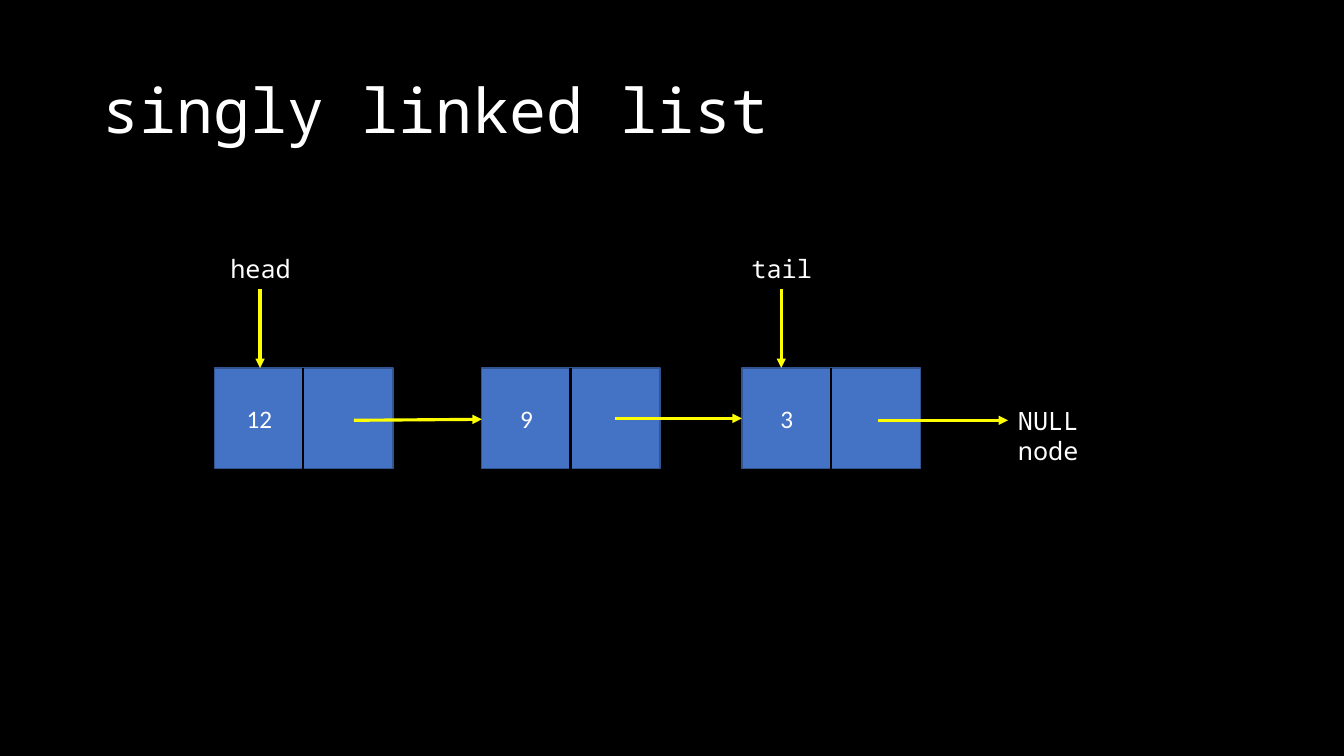
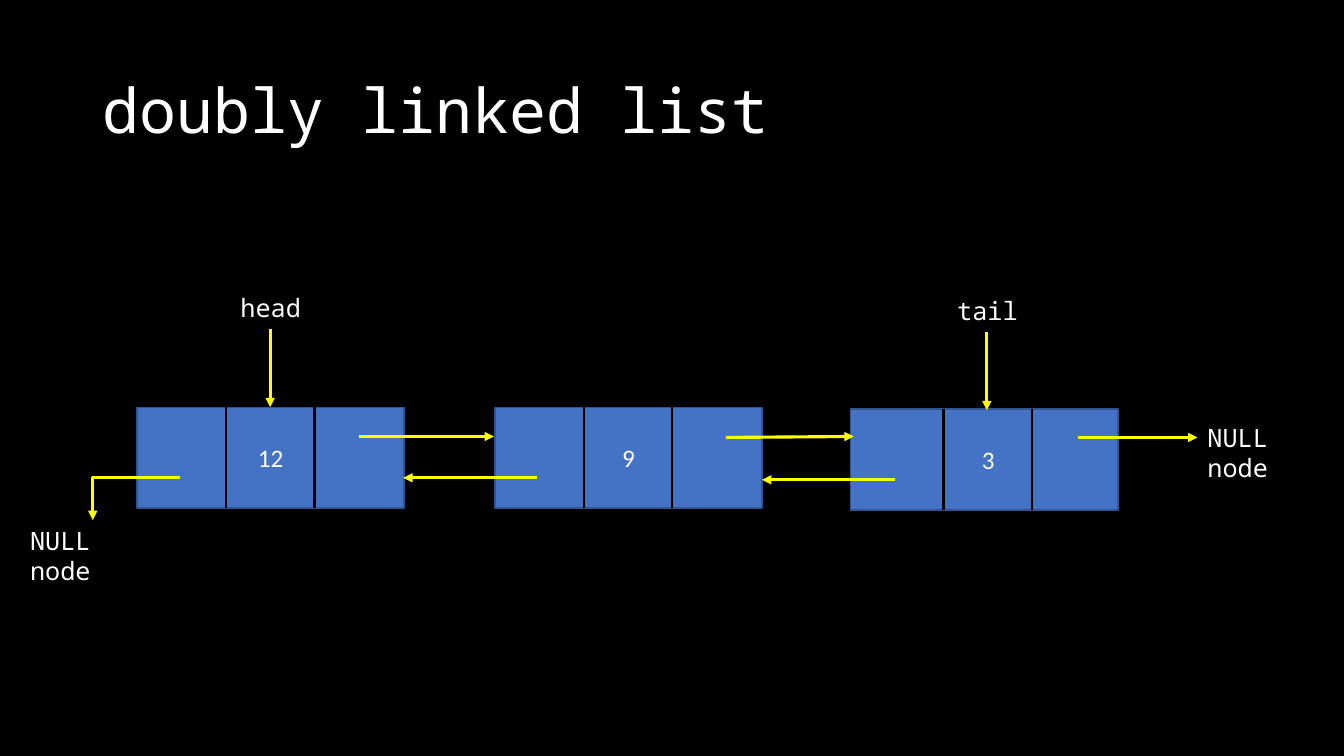
from lxml import etree
from pptx import Presentation
from pptx import util as u
from pptx.dml.color import RGBColor
from pptx.enum import shapes, text
from pptx.oxml.ns import qn

PX = 9144  # EMU per px, 100 px to the inch
BLACK = RGBColor(0x00, 0x00, 0x00)
WHITE = RGBColor(0xFF, 0xFF, 0xFF)
BLUE = RGBColor(0x44, 0x72, 0xC4)
NAVY = RGBColor(0x32, 0x54, 0x91)
YELLOW = RGBColor(0xFF, 0xFF, 0x00)
MONO, SANS = "Noto Sans Mono", "Calibri"

CELL_W, NODE_H = 88, 100
TITLE_BOX = (92, 40, 1150, 145)
NULL_W, LABEL_W, VALUE_W, TEXT_H = 145, 81, 53, 40


def px(*lengths):
    return [u.Emu(n * PX) for n in lengths]


def set_text(sp, words, size, font, align):
    tf = sp.text_frame
    frame_format = {"word_wrap": True, "auto_size": text.MSO_AUTO_SIZE.NONE}
    for name, value in frame_format.items():
        setattr(tf, name, value)
    p = tf.paragraphs[0]
    p.alignment = align
    r = p.add_run()
    r.text = words
    for name, value in {"size": u.Pt(size), "name": font}.items():
        setattr(r.font, name, value)
    r.font.color.rgb = WHITE
    return tf


def add_label(s, box, words, font=MONO, align=text.PP_ALIGN.CENTER):
    set_text(s.shapes.add_textbox(*px(*box)), words, 18, font, align)


def add_null(s, x, y):
    add_label(s, (x, y, NULL_W, TEXT_H), "NULL node", align=text.PP_ALIGN.LEFT)


def add_line(s, ends, color, width, kind=shapes.MSO_CONNECTOR.STRAIGHT):
    cn = s.shapes.add_connector(kind, *px(*ends))
    cn.line.color.rgb = color
    cn.line.width = u.Pt(width)
    etree.SubElement(cn._element.spPr, qn("a:effectLst"))
    return cn


def add_arrow(s, ends, kind=shapes.MSO_CONNECTOR.STRAIGHT):
    cn = add_line(s, ends, YELLOW, 2.25, kind)
    etree.SubElement(cn.line._get_or_add_ln(), qn("a:tailEnd"), type="triangle")
    return cn


def add_corner_arrow(s, ends):
    """One-bend arrow that runs left, then down."""
    cn = add_arrow(s, ends, shapes.MSO_CONNECTOR.ELBOW)
    sp_pr = cn._element.spPr
    sp_pr.find(qn("a:prstGeom")).set("prst", "bentConnector2")
    xfrm = sp_pr.find(qn("a:xfrm"))
    xfrm.attrib.pop("flipH", None)
    xfrm.set("rot", "10800000")
    xfrm.set("flipV", "1")


def add_node(s, x, y, cells, value, value_cell, shift=0):
    """Box split into cells; shift moves the inner parts to the right."""
    sp = s.shapes.add_shape(shapes.MSO_SHAPE.RECTANGLE,
                            *px(x, y, cells * CELL_W + 1, NODE_H))
    sp.shadow.inherit = False
    sp.fill.solid()
    sp.fill.fore_color.rgb = BLUE
    sp.line.color.rgb = NAVY
    sp.line.width = u.Pt(1)
    for i in range(1, cells):
        divider_x = x + shift + i * CELL_W
        add_line(s, (divider_x, y, divider_x, y + NODE_H), BLACK, 1.5)
    value_x = x + shift + value_cell * CELL_W + 18
    add_label(s, (value_x, y + 30, VALUE_W, TEXT_H), value, SANS)


def add_pointer(s, center, node_y, name):
    """Name above a node, with an arrow down to the node's top edge."""
    add_label(s, (center - LABEL_W // 2, node_y - 119, LABEL_W, TEXT_H), name)
    add_arrow(s, (center, node_y - 78, center, node_y))


def add_list_slide(prs, title, nodes, pointers, links, nulls):
    s = prs.slides.add_slide(prs.slide_layouts.get_by_name("Title Only"))
    sp = s.shapes.title
    for name, value in zip(("left", "top", "width", "height"), px(*TITLE_BOX)):
        setattr(sp, name, value)
    tf = set_text(sp, title, 44, MONO, text.PP_ALIGN.LEFT)
    tf.vertical_anchor = text.MSO_ANCHOR.MIDDLE
    tf.paragraphs[0].line_spacing = 0.9
    for draw, items in ((add_node, nodes), (add_pointer, pointers), (add_null, nulls)):
        for item in items:
            draw(s, *item)
    for ends in links:
        add_arrow(s, ends)
    return s


def main():
    prs = Presentation()
    prs.slide_width, prs.slide_height = u.Inches(13.333), u.Inches(7.5)
    fill = prs.slide_master.background.fill
    fill.solid()
    fill.fore_color.rgb = BLACK

    add_list_slide(
        prs, "singly linked list",
        nodes=[(213, 365, 2, "12", 0), (478, 365, 2, "9", 0), (736, 365, 2, "3", 0)],
        pointers=[(258, 365, "head"), (775, 365, "tail")],
        links=[(351, 417, 478, 416), (610, 415, 736, 415), (871, 417, 1000, 417)],
        nulls=[(1000, 397)])

    s = add_list_slide(
        prs, "doubly linked list",
        nodes=[(136, 404, 3, "12", 1), (491, 404, 3, "9", 1), (844, 406, 3, "3", 1, 4)],
        pointers=[(268, 404, "head"), (979, 407, "tail")],
        links=[(356, 433, 490, 433), (720, 434, 847, 433), (1069, 434, 1188, 434),
               (533, 474, 400, 474), (888, 476, 756, 476)],
        nulls=[(1188, 414), (20, 516)])
    add_corner_arrow(s, (179, 474, 92, 516))

    prs.save("out.pptx")


if __name__ == "__main__":
    main()
